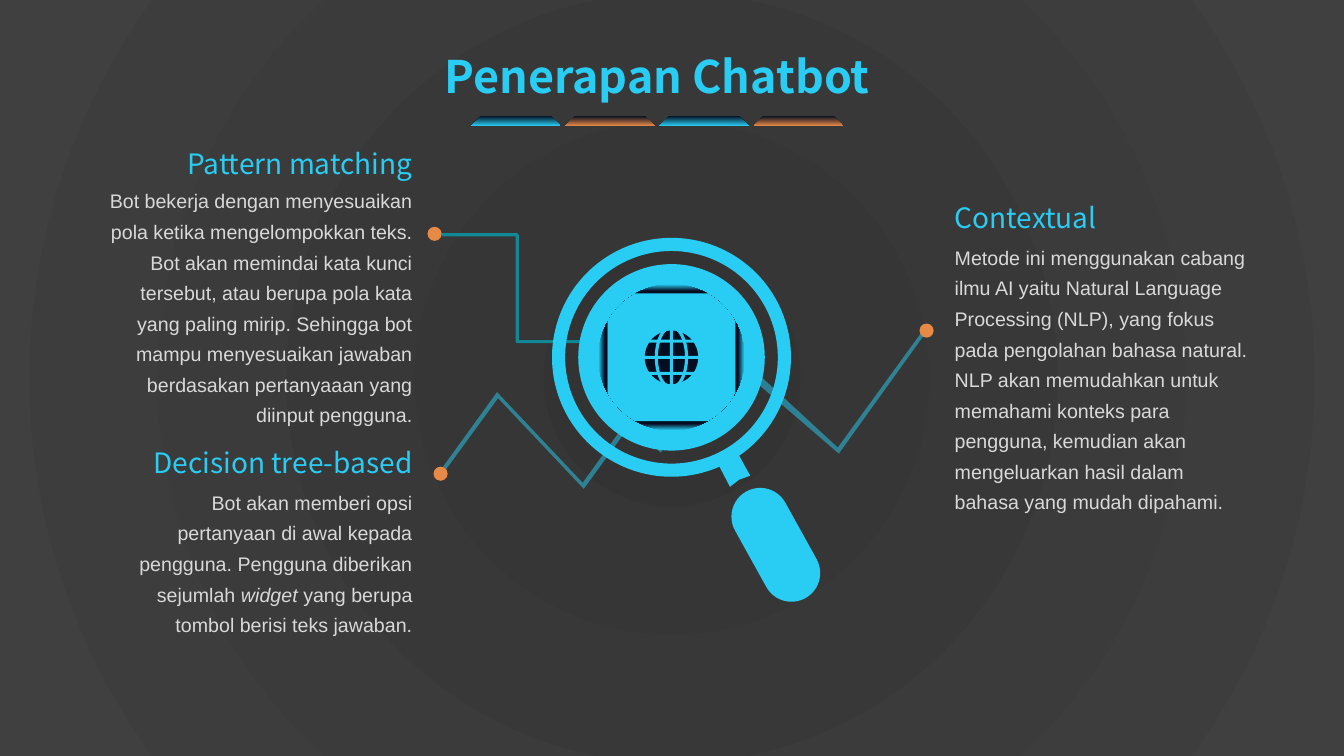
import pptx
import pptx.util
import pptx.dml.color
import pptx.enum.shapes
import pptx.enum.text
import pptx.oxml
import pptx.oxml.ns
import lxml.etree

Inches = pptx.util.Inches
Pt = pptx.util.Pt
RGB = pptx.dml.color.RGBColor.from_string
Kind = pptx.enum.shapes.MSO_SHAPE
Align = pptx.enum.text.PP_ALIGN
Anchor = pptx.enum.text.MSO_ANCHOR
qn = pptx.oxml.ns.qn


class Theme:
    cyan, amber, dark, teal = "29CDF3", "E78947", "050D21", "00ABBF"
    body, mid, edge = "D9D9D9", "333333", "404040"
    head_font, body_font = "Noto Sans CJK SC", "Arial"
    title, head, text = 32, 20, 14


def paint(shape, color=None, stops=None, path=None, alpha=None):
    """Fill a shape with one colour, or with stops (top to bottom, or from the centre)."""
    shape.shadow.inherit = False
    shape.line.fill.background()
    if color:
        shape.fill.solid()
        shape.fill.fore_color.rgb = RGB(color)
    else:
        shape.fill.background()
        marks = "".join(f'<a:gs pos="{pos * 1000}"><a:srgbClr val="{c}"/></a:gs>' for pos, c in stops)
        way = '<a:lin ang="5400000" scaled="0"/>'
        if path:
            way = f'<a:path path="{path}"><a:fillToRect l="50000" t="50000" r="50000" b="50000"/></a:path>'
        props = shape.element.spPr
        grad = pptx.oxml.parse_xml(
            f'<a:gradFill {pptx.oxml.ns.nsdecls("a")} rotWithShape="1"><a:gsLst>{marks}</a:gsLst>{way}</a:gradFill>')
        props.replace(props.find(qn("a:noFill")), grad)
    if alpha:
        tint = shape.element.spPr.find(qn("a:solidFill"))[0]
        lxml.etree.SubElement(tint, qn("a:alpha"), val=str(alpha * 1000))
    return shape


def write(text, box, size=Theme.text, font=Theme.body_font, color=Theme.body, align=Align.LEFT,
          bold=False, space=None, slant=None, anchor=Anchor.TOP):
    """Add a text box; the word given as slant is set in italics."""
    frame = shapes.add_textbox(*map(Inches, box)).text_frame
    frame.word_wrap = True
    frame.auto_size = pptx.enum.text.MSO_AUTO_SIZE.SHAPE_TO_FIT_TEXT
    frame.vertical_anchor = anchor
    para = frame.paragraphs[0]
    para.alignment = align
    para.line_spacing = space
    parts = text.partition(slant) if slant else [text]
    for part in parts:
        run = para.add_run()
        run.text = part
        run.font.size, run.font.name, run.font.bold = Pt(size), font, bold
        run.font.italic = part == slant
        run.font.color.rgb = RGB(color)


deck = pptx.Presentation()
deck.slide_width, deck.slide_height = Inches(13.33), Inches(7.5)
slide = deck.slides.add_slide(deck.slide_layouts[6])
shapes = slide.shapes

# Backdrop
back = shapes.add_shape(Kind.RECTANGLE, 0, 0, deck.slide_width, deck.slide_height)
paint(back, stops=[(0, Theme.mid), (100, Theme.edge)], path="circle")

# Zigzag band behind the lens
band = [(5.79, 4.85), (4.94, 3.95), (4.4, 4.69), (4.38, 4.65), (4.93, 3.89), (5.78, 4.79), (6.26, 4.12),
        (6.55, 4.42), (7.23, 3.61), (7.27, 3.57), (7.35, 3.56), (7.4, 3.6), (8.31, 4.44), (9.16, 3.27),
        (9.19, 3.29), (8.32, 4.5), (7.31, 3.63), (6.55, 4.49), (6.27, 4.19)]
band = [(Inches(x), Inches(y)) for x, y in band]
draft = shapes.build_freeform(*band[0])
draft.add_line_segments(band[1:])
paint(draft.convert_to_shape(), Theme.cyan, alpha=50)

# Elbow line to the lens
elbow = shapes.add_connector(pptx.enum.shapes.MSO_CONNECTOR.ELBOW,
                             Inches(4.38), Inches(2.33), Inches(5.88), Inches(3.39))
elbow.line.width = Pt(2.25)
elbow.line.color.rgb = RGB(Theme.teal)
tint = elbow.element.spPr.find(".//" + qn("a:srgbClr"))
lxml.etree.SubElement(tint, qn("a:alpha"), val="70000")
lxml.etree.SubElement(elbow.element.spPr, qn("a:effectLst"))

# Magnifier: neck, handle, then rings around one centre
lens = shapes.add_group_shape().shapes
mid_x, mid_y = 6.66, 3.545
neck = [(Inches(x), Inches(y)) for x, y in [(7.12, 4.6), (7.24, 4.83), (7.33, 4.76), (7.44, 4.72), (7.32, 4.5)]]
draft = lens.build_freeform(*neck[0])
draft.add_line_segments(neck[1:])
paint(draft.convert_to_shape(), Theme.cyan)

grip = lens.add_shape(Kind.ROUNDED_RECTANGLE, Inches(7.41), Inches(4.8), Inches(0.57), Inches(1.21))
grip.adjustments[0] = 0.5
grip.rotation = -29
paint(grip, Theme.cyan)

rim = [(87, Theme.cyan), (88, Theme.dark), (91, Theme.dark), (100, Theme.cyan)]
for kind, size, look in [(Kind.DONUT, 2.37, {"color": Theme.cyan}),
                         (Kind.OVAL, 1.85, {"color": Theme.cyan}),
                         (Kind.OVAL, 1.45, {"stops": rim, "path": "shape"}),
                         (Kind.OVAL, 0.53, {"color": Theme.dark})]:
    ring = lens.add_shape(kind, Inches(mid_x - size / 2), Inches(mid_y - size / 2), Inches(size), Inches(size))
    if kind == Kind.DONUT:
        ring.adjustments[0] = 0.055
    paint(ring, **look)

# Globe grid: one curved meridian, one upright, three parallels
curve = lens.add_shape(Kind.OVAL, Inches(mid_x - 0.15), Inches(mid_y - 0.3), Inches(0.3), Inches(0.6))
paint(curve, Theme.cyan)
curve.fill.background()
curve.line.width = Pt(2.25)
curve.line.color.rgb = RGB(Theme.cyan)
bar = 0.03
grid = [(mid_x - bar / 2, mid_y - 0.28, bar, 0.56)]
grid += [(mid_x - 0.28, mid_y + step - bar / 2, 0.56, bar) for step in (-0.16, 0, 0.16)]
for box in grid:
    paint(lens.add_shape(Kind.RECTANGLE, *map(Inches, box)), Theme.cyan)

# End dots
for x, y in [(4.3, 4.63), (9.12, 3.21), (4.24, 2.25)]:
    paint(shapes.add_shape(Kind.OVAL, Inches(x), Inches(y), Inches(0.14), Inches(0.14)), Theme.amber)

# Title and its row of tabs
head = {"size": Theme.head, "font": Theme.head_font, "color": Theme.cyan}
write("Penerapan Chatbot", (3.96, 0.43, 5.12, 0.64), **{**head, "size": Theme.title},
      align=Align.CENTER, bold=True)
for i in range(4):
    tab = shapes.add_shape(Kind.TRAPEZOID, Inches(4.67 + 0.935 * i), Inches(1.15), Inches(0.89), Inches(0.1))
    tab.adjustments[0] = 1.01
    paint(tab, stops=[(0, Theme.dark), (100, (Theme.cyan, Theme.amber)[i % 2])])

# Three topics
write("Pattern matching", (0.88, 1.4, 3.31, 0.44), **head, align=Align.RIGHT, anchor=Anchor.MIDDLE)
write("Bot bekerja dengan menyesuaikan pola ketika mengelompokkan teks. Bot akan memindai kata kunci "
      "tersebut, atau berupa pola kata yang paling mirip. Sehingga bot mampu menyesuaikan jawaban "
      "berdasakan pertanyaaan yang diinput pengguna.",
      (0.88, 1.76, 3.31, 2.55), align=Align.RIGHT, space=1.3)

write("Decision tree-based", (1.07, 4.37, 3.12, 0.77), **head, align=Align.RIGHT)
write("Bot akan memberi opsi pertanyaan di awal kepada pengguna. Pengguna diberikan sejumlah widget "
      "yang berupa tombol berisi teks jawaban.",
      (1.07, 4.75, 3.12, 1.63), align=Align.RIGHT, space=1.3, slant="widget")

write("Contextual", (9.37, 1.94, 2.61, 0.35), **head)
write("Metode ini menggunakan cabang ilmu AI yaitu Natural Language Processing (NLP), yang fokus pada "
      "pengolahan bahasa natural. NLP akan memudahkan untuk memahami konteks para pengguna, kemudian "
      "akan mengeluarkan hasil dalam bahasa yang mudah dipahami.",
      (9.37, 2.32, 3.12, 2.86), space=1.3)

deck.save("out.pptx")
